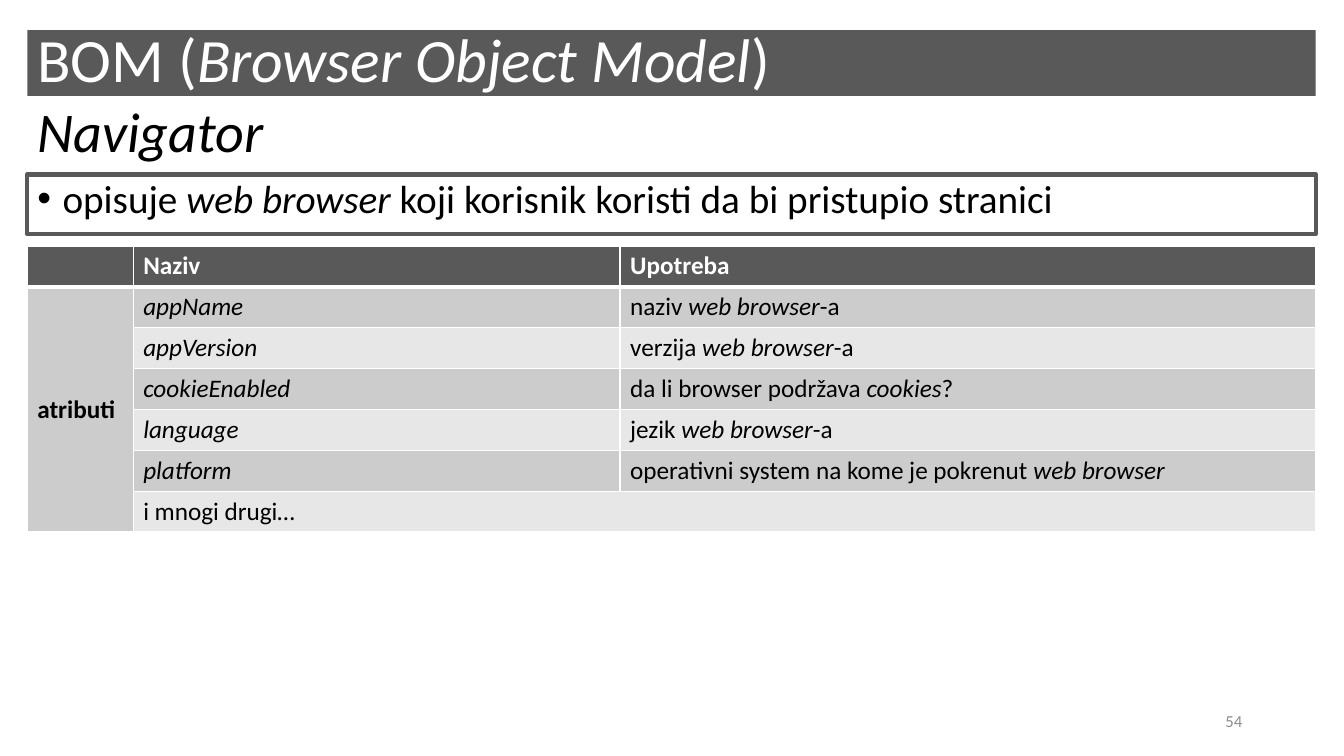
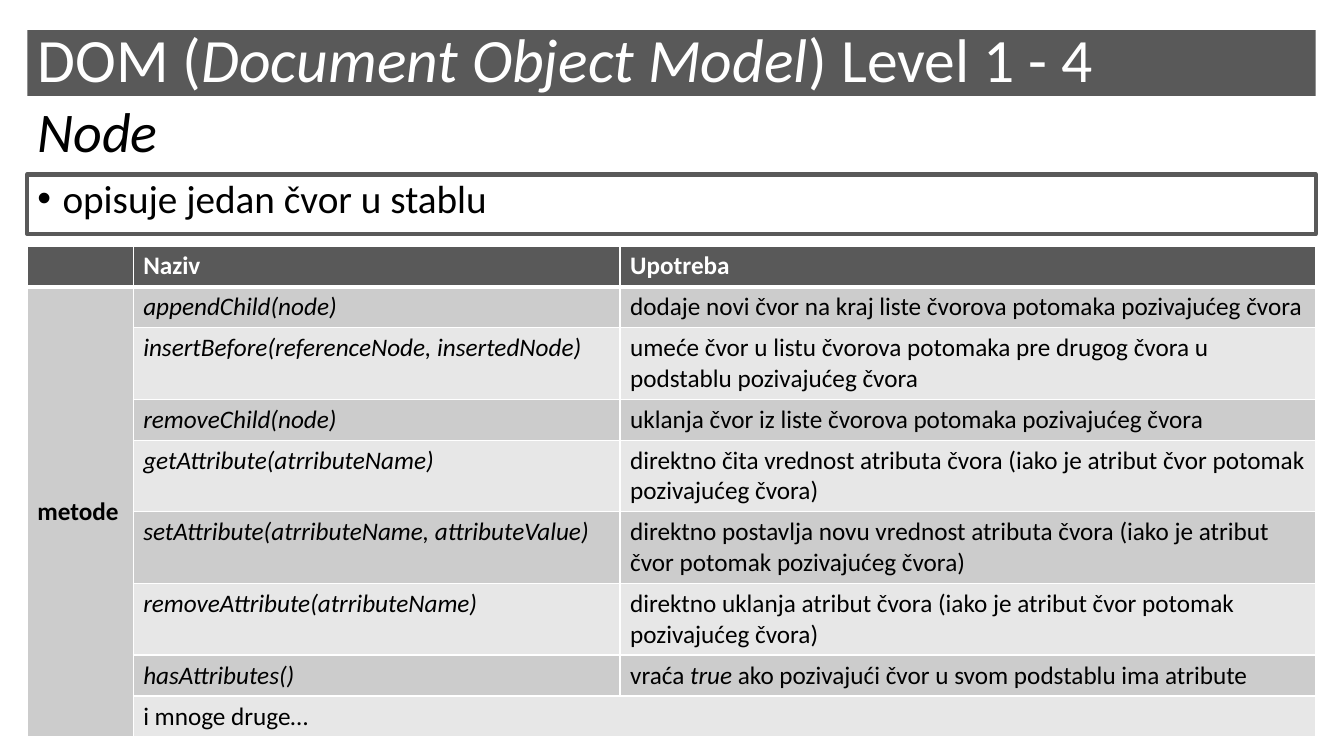
from dataclasses import dataclass
from typing import Optional

from lxml import etree
from pptx import Presentation
from pptx import util as u
from pptx.dml.color import RGBColor
from pptx.enum import text
from pptx.oxml import ns


@dataclass(frozen=True)
class Theme:
    font: str = "Calibri"
    dark: str = "595959"
    band_odd: str = "CCCCCC"
    band_even: str = "E7E7E7"
    white: str = "FFFFFF"
    black: str = "000000"
    muted: str = "8C8C8C"
    title_size: int = 44
    subtitle_size: int = 40
    list_size: int = 28
    table_size: int = 18
    number_size: int = 12
    thin: int = 1
    thick: int = 3


@dataclass(frozen=True)
class Frame:
    """A place on the slide, in percent of its width and height."""
    left: float
    top: float
    width: float
    height: float


@dataclass(frozen=True)
class Entry:
    """A table row; without a use, the name spans both columns."""
    name: str
    use: Optional[str] = None


@dataclass(frozen=True)
class Page:
    """Text between asterisks is italic."""
    title: str
    subtitle: str
    description: str
    group: str
    entries: tuple[Entry, ...]
    number: Optional[str] = None


THEME = Theme()
SLIDE_WIDTH, SLIDE_HEIGHT = u.Inches(13.33), u.Inches(7.5)
LEFT, WIDTH = 2.03, 95.87
TITLE = Frame(LEFT, 4, WIDTH, 8.67)
SUBTITLE = Frame(LEFT, 14, WIDTH, 7.6)
DESCRIPTION = Frame(LEFT, 23.07, WIDTH, 7.87)
NUMBER = Frame(70.67, 92.67, 22.5, 5.33)
TABLE_TOP, ROW_HEIGHT = 32.53, 5.25
COLUMNS = (7.88, 36.23, WIDTH - 7.88 - 36.23)
HEADERS = ("", "Naziv", "Upotreba")

PAGES = (
    Page("BOM (*Browser Object Model*)", "*Navigator*",
         "opisuje *web browser* koji korisnik koristi da bi pristupio stranici",
         "atributi", (
             Entry("*appName*", "naziv *web browser*-a"),
             Entry("*appVersion*", "verzija *web browser*-a"),
             Entry("*cookieEnabled*", "da li browser podržava *cookies*?"),
             Entry("*language*", "jezik *web browser*-a"),
             Entry("*platform*",
                   "operativni system na kome je pokrenut *web browser*"),
             Entry("i mnogi drugi…"),
         ), "54"),
    Page("DOM (*Document Object Model*) Level 1 - 4", "*Node*",
         "opisuje jedan čvor u stablu", "metode", (
             Entry("*appendChild(node)*", "dodaje novi čvor na kraj liste "
                   "čvorova potomaka pozivajućeg čvora"),
             Entry("*insertBefore(referenceNode, insertedNode)*",
                   "umeće čvor u listu čvorova potomaka pre drugog čvora u "
                   "podstablu pozivajućeg čvora"),
             Entry("*removeChild(node)*", "uklanja čvor iz liste čvorova "
                   "potomaka pozivajućeg čvora"),
             Entry("*getAttribute(atrributeName)*",
                   "direktno čita vrednost atributa čvora (iako je atribut "
                   "čvor potomak pozivajućeg čvora)"),
             Entry("*setAttribute(atrributeName, attributeValue)*",
                   "direktno postavlja novu vrednost atributa čvora (iako je "
                   "atribut čvor potomak pozivajućeg čvora)"),
             Entry("*removeAttribute(atrributeName)*",
                   "direktno uklanja atribut čvora (iako je atribut čvor "
                   "potomak pozivajućeg čvora)"),
             Entry("*hasAttributes()*", "vraća *true* ako pozivajući čvor u "
                   "svom podstablu ima atribute"),
             Entry("i mnoge druge…"),
         )),
)


def across(percent: float) -> int:
    return round(SLIDE_WIDTH * percent / 100)


def down(percent: float) -> int:
    return round(SLIDE_HEIGHT * percent / 100)


def place(frame: Frame) -> tuple[int, int, int, int]:
    return (across(frame.left), down(frame.top),
            across(frame.width), down(frame.height))


# Text
def write(paragraph, marked: str, size: int, color: str,
          bold: bool = False) -> None:
    font = paragraph.font
    font.name, font.size, font.bold = THEME.font, u.Pt(size), bold
    font.color.rgb = RGBColor.from_string(color)
    for position, part in enumerate(marked.split("*")):
        if part:
            run = paragraph.add_run()
            run.text = part
            run.font.italic = position % 2 == 1


def set_bullet(paragraph, bullet: Optional[str]) -> None:
    indent = u.Inches(0.25) if bullet else 0
    properties = paragraph._p.get_or_add_pPr()
    properties.set("marL", str(indent))
    properties.set("indent", str(-indent))
    if bullet:
        etree.SubElement(properties, ns.qn("a:buChar")).set("char", bullet)
    else:
        etree.SubElement(properties, ns.qn("a:buNone"))


def fill_placeholder(shape, frame: Frame, marked: str, size: int,
                     color: str, bullet: Optional[str] = None) -> None:
    shape.left, shape.top, shape.width, shape.height = place(frame)
    text_frame = shape.text_frame
    text_frame.auto_size = text.MSO_AUTO_SIZE.NONE
    text_frame.vertical_anchor = (
        text.MSO_ANCHOR.TOP if bullet else text.MSO_ANCHOR.MIDDLE)
    paragraph = text_frame.paragraphs[0]
    paragraph.alignment = text.PP_ALIGN.LEFT
    paragraph.line_spacing = 0.9
    paragraph.space_before = u.Pt(0)
    set_bullet(paragraph, bullet)
    write(paragraph, marked, size, color)


def add_number(slide, number: str) -> None:
    text_frame = slide.shapes.add_textbox(*place(NUMBER)).text_frame
    text_frame.word_wrap = True
    text_frame.vertical_anchor = text.MSO_ANCHOR.MIDDLE
    paragraph = text_frame.paragraphs[0]
    paragraph.alignment = text.PP_ALIGN.RIGHT
    write(paragraph, number, THEME.number_size, THEME.muted)


# Table
def style_cell(cell, fill: str, top: int, bottom: int) -> None:
    cell.fill.solid()
    cell.fill.fore_color.rgb = RGBColor.from_string(fill)
    properties = cell._tc.get_or_add_tcPr()
    sides = {"lnL": THEME.thin, "lnR": THEME.thin, "lnT": top, "lnB": bottom}
    for position, (side, width) in enumerate(sides.items()):
        line = etree.Element(ns.qn(f"a:{side}"), w=str(u.Pt(width)))
        solid = etree.SubElement(line, ns.qn("a:solidFill"))
        etree.SubElement(solid, ns.qn("a:srgbClr"), val=THEME.white)
        properties.insert(position, line)


def add_entries_table(slide, group: str, entries: tuple[Entry, ...]) -> None:
    count = len(entries) + 1
    frame = Frame(LEFT, TABLE_TOP, WIDTH, ROW_HEIGHT * count)
    table = slide.shapes.add_table(count, len(COLUMNS), *place(frame)).table
    for column, width in zip(table.columns, COLUMNS):
        column.width = across(width)

    rows = [HEADERS]
    rows += [("" if index else group, entry.name, entry.use or "")
             for index, entry in enumerate(entries)]
    for row, values in enumerate(rows):
        table.rows[row].height = down(ROW_HEIGHT)
        band = THEME.band_odd if row % 2 else THEME.band_even
        for column, value in enumerate(values):
            cell = table.cell(row, column)
            header = row == 0
            fill = (THEME.dark if header
                    else THEME.band_odd if column == 0 else band)
            style_cell(cell, fill, THEME.thick if row == 1 else THEME.thin,
                       THEME.thick if header else THEME.thin)
            write(cell.text_frame.paragraphs[0], value, THEME.table_size,
                  THEME.white if header else THEME.black,
                  bold=header or column == 0)

    # The group label spans all entries; a closing remark spans two columns
    group_cell = table.cell(1, 0)
    group_cell.merge(table.cell(count - 1, 0))
    group_cell.vertical_anchor = text.MSO_ANCHOR.MIDDLE
    for row, entry in enumerate(entries, start=1):
        if entry.use is None:
            table.cell(row, 1).merge(table.cell(row, 2))


# Slides
def add_page(presentation, page: Page) -> None:
    slide = presentation.slides.add_slide(presentation.slide_layouts[3])
    title, subtitle, description = slide.placeholders
    fill_placeholder(title, TITLE, page.title, THEME.title_size, THEME.white)
    title.fill.solid()
    title.fill.fore_color.rgb = RGBColor.from_string(THEME.dark)
    fill_placeholder(subtitle, SUBTITLE, page.subtitle, THEME.subtitle_size,
                     THEME.black)
    fill_placeholder(description, DESCRIPTION, page.description,
                     THEME.list_size, THEME.black, bullet="•")
    description.line.color.rgb = RGBColor.from_string(THEME.dark)
    description.line.width = u.Pt(THEME.thick)
    add_entries_table(slide, page.group, page.entries)
    if page.number:
        add_number(slide, page.number)


def main() -> None:
    presentation = Presentation()
    presentation.slide_width = SLIDE_WIDTH
    presentation.slide_height = SLIDE_HEIGHT
    for page in PAGES:
        add_page(presentation, page)
    presentation.save("out.pptx")


if __name__ == "__main__":
    main()
